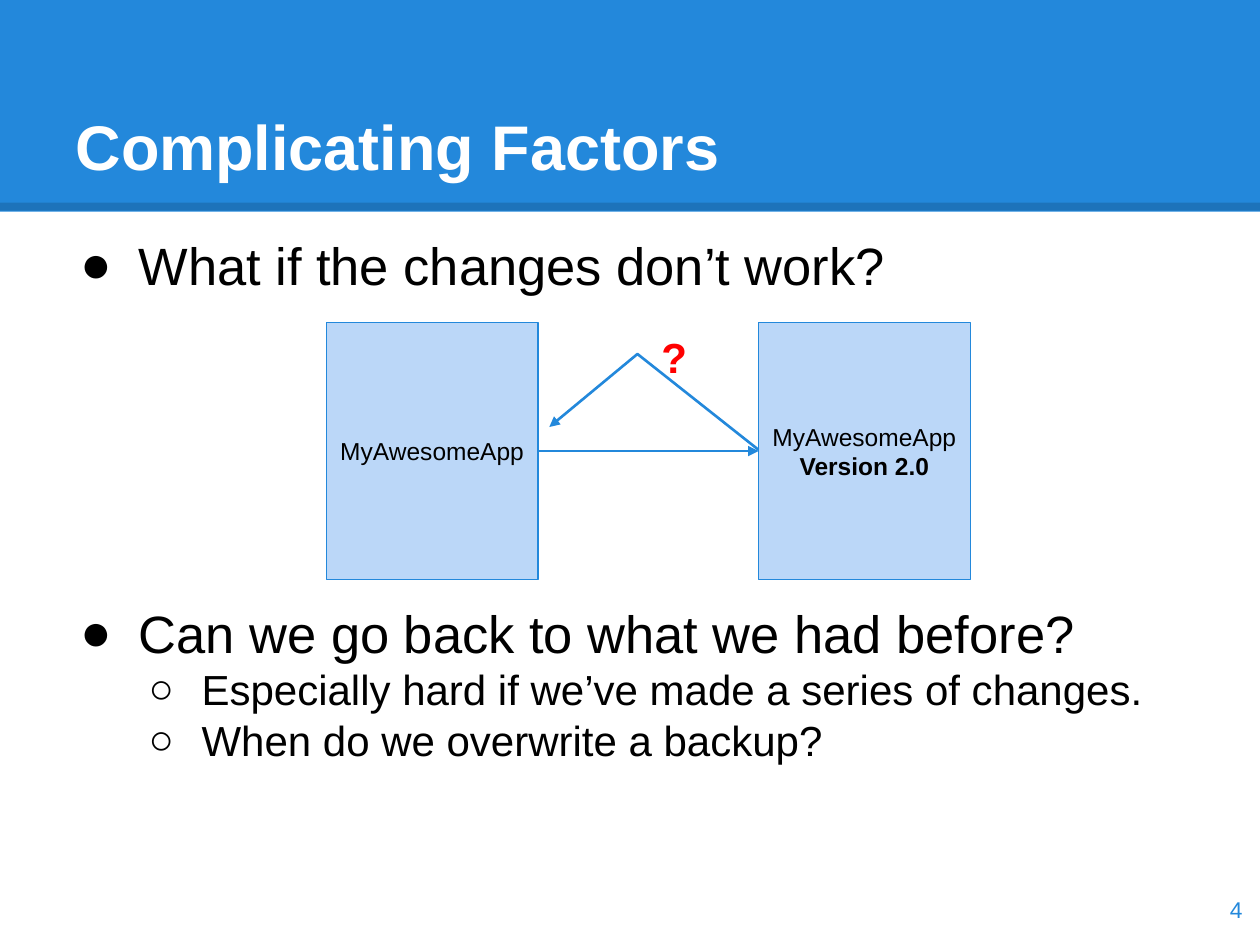
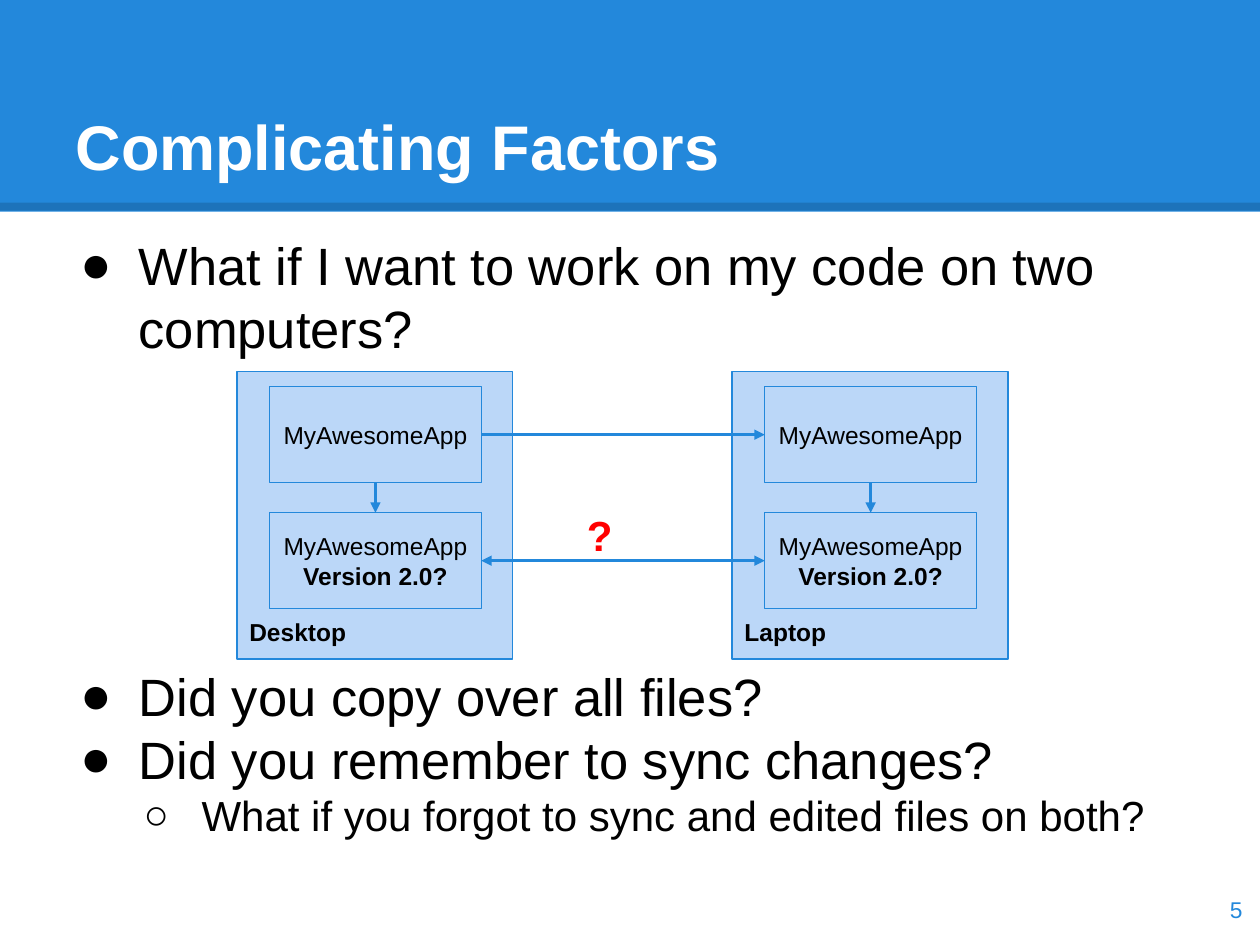
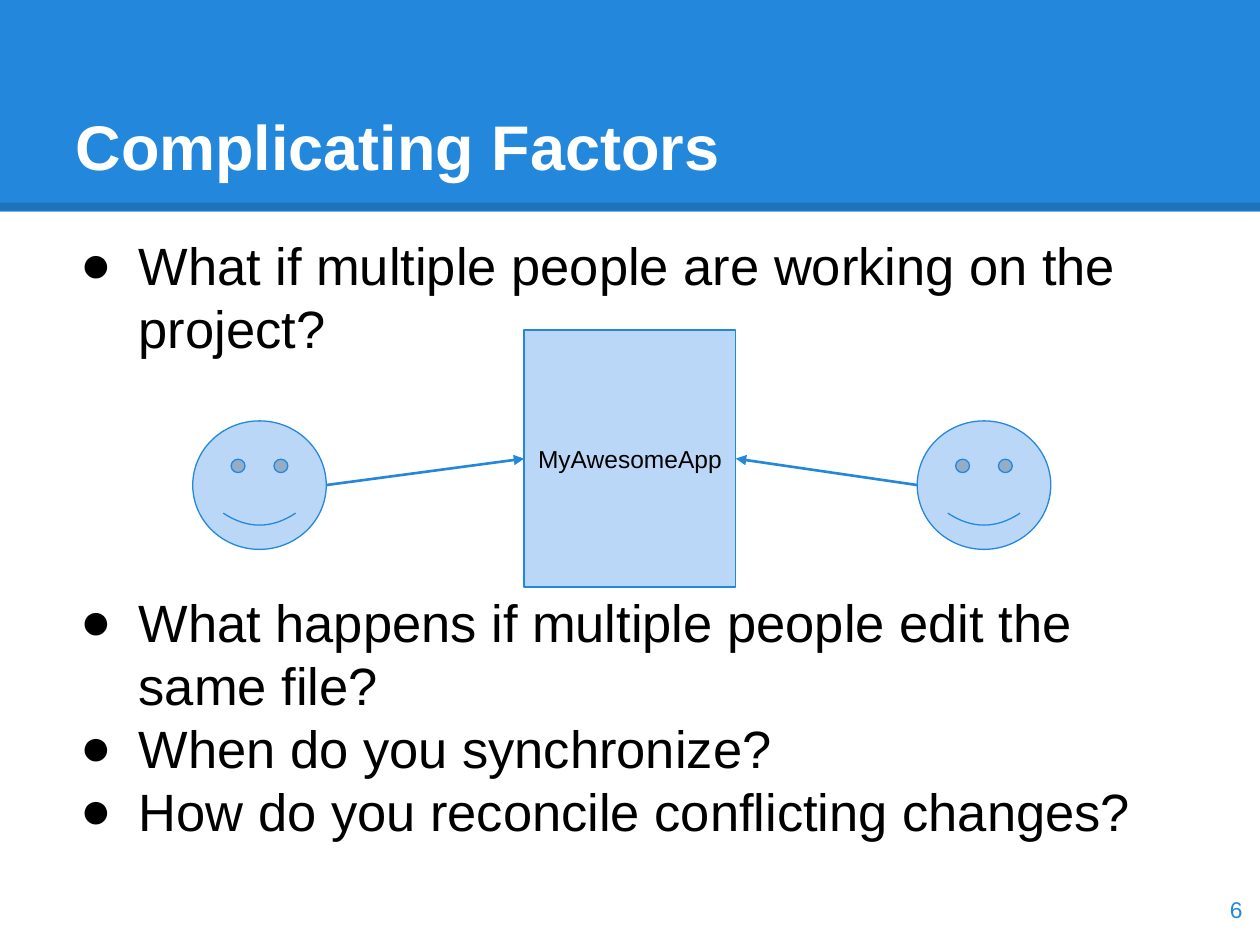
from lxml.etree import SubElement
from pptx import Presentation
from pptx.dml.color import RGBColor
from pptx.enum.shapes import MSO_CONNECTOR, MSO_SHAPE
from pptx.enum.text import MSO_ANCHOR, MSO_AUTO_SIZE, PP_ALIGN
from pptx.oxml.ns import qn
from pptx.util import Inches, Pt

FONT = "Arial"
BLUE = "2388DB"
PALE_BLUE = "BBD7F8"
BLACK = "000000"
WHITE = "FFFFFF"
RED = "FF0000"

TITLE = "Complicating Factors"
APP = "MyAwesomeApp"
APP_WIDTH, APP_HEIGHT = 1.68, 2.04
VERSION_HEIGHT = 0.76
BULLETS = [("●", 0.5, 30, 36), ("○", 1, 24, 29)]


def color(hex_string):
    """Turn a hex string into a colour."""
    return RGBColor.from_string(hex_string)


def write_text(paragraph, text, size=14, fill=BLACK, bold=False, align=PP_ALIGN.LEFT):
    """Write one formatted run into a paragraph."""
    paragraph.alignment = align
    run = paragraph.add_run()
    run.text = text
    run.font.name = FONT
    run.font.size = Pt(size)
    run.font.bold = bold
    run.font.color.rgb = color(fill)


def prepare_frame(shape, anchor=MSO_ANCHOR.TOP):
    """Set wrapping, insets and anchor, and return the text frame."""
    frame = shape.text_frame
    frame.word_wrap = True
    frame.auto_size = MSO_AUTO_SIZE.NONE
    frame.vertical_anchor = anchor
    frame.margin_left = frame.margin_right = Inches(0.1)
    frame.margin_top = frame.margin_bottom = Inches(0.1)
    return frame


def add_label(slide, text, left, top, width, height, anchor=MSO_ANCHOR.TOP, **text_format):
    """Add a one-line text box."""
    box = slide.shapes.add_textbox(Inches(left), Inches(top), Inches(width), Inches(height))
    write_text(prepare_frame(box, anchor).paragraphs[0], text, **text_format)


def add_panel(slide, left, top, width, height, kind=MSO_SHAPE.RECTANGLE):
    """Add a pale blue shape with a thin blue outline."""
    panel = slide.shapes.add_shape(
        kind, Inches(left), Inches(top), Inches(width), Inches(height))
    panel.shadow.inherit = False
    panel.fill.solid()
    panel.fill.fore_color.rgb = color(PALE_BLUE)
    panel.line.color.rgb = color(BLUE)
    panel.line.width = Pt(0.75)
    return panel


def add_app(slide, left, top, height=APP_HEIGHT, version=None):
    """Add an app box, with a bold version below the name if given."""
    panel = add_panel(slide, left, top, APP_WIDTH, height)
    frame = prepare_frame(panel, MSO_ANCHOR.MIDDLE)
    write_text(frame.paragraphs[0], APP, align=PP_ALIGN.CENTER)
    if version:
        write_text(frame.add_paragraph(), version, bold=True, align=PP_ALIGN.CENTER)


def style_arrow(shape, ends=("tailEnd",)):
    """Give a line its colour, width and arrowheads."""
    shape.line.color.rgb = color(BLUE)
    shape.line.width = Pt(1.5)
    outline = shape.line._get_or_add_ln()
    for end in ends:
        SubElement(outline, qn(f"a:{end}"), type="triangle")


def add_line(slide, start_x, start_y, end_x, end_y):
    """Add a straight connector without a shadow."""
    connector = slide.shapes.add_connector(
        MSO_CONNECTOR.STRAIGHT, Inches(start_x), Inches(start_y), Inches(end_x), Inches(end_y))
    SubElement(connector._element.spPr, qn("a:effectLst"))
    return connector


def add_arrow(slide, *points, ends=("tailEnd",)):
    """Add a straight arrow."""
    style_arrow(add_line(slide, *points), ends)


def add_return_arrow(slide, left, top):
    """Add the bent arrow that leads back to the first version."""
    points = [(Inches(left + x), Inches(top + y)) for x, y in [(1.66, 0.76), (0.7, 0), (0, 0.58)]]
    builder = slide.shapes.build_freeform(*points[0])
    builder.add_line_segments(points[1:], close=False)
    arrow = builder.convert_to_shape()
    arrow.shadow.inherit = False
    arrow.fill.background()
    style_arrow(arrow)


def add_question_mark(slide, left, top):
    """Add a red question mark."""
    add_label(slide, "?", left, top, 0.5, 0.33, size=24, fill=RED, bold=True)


def prepare_layout(layout, slide):
    """Place the layout's placeholders and move the title band behind them."""
    boxes = [(0.5, 0.3, 9, 1.25), (0.5, 1.75, 9, 5.43)]
    for placeholder, box in zip(layout.placeholders, boxes):
        placeholder.left, placeholder.top, placeholder.width, placeholder.height = map(Inches, box)

    band = slide.shapes.add_shape(MSO_SHAPE.RECTANGLE, 0, 0, Inches(10), Inches(1.68))
    band.shadow.inherit = False
    band.fill.solid()
    band.fill.fore_color.rgb = color(BLUE)
    band.line.fill.background()

    edge = add_line(slide, 0, 1.64, 10, 1.64)
    edge.line.color.rgb = color(BLACK)
    edge.line.width = Pt(4.5)
    edge_color = edge._element.spPr.find(".//" + qn("a:srgbClr"))
    SubElement(edge_color, qn("a:alpha"), val="15000")

    for position, shape in enumerate([band, edge], start=2):
        layout.shapes._spTree.insert(position, shape._element)


def add_bullet(paragraph, text, level, space_before, hanging):
    """Write one bulleted list entry."""
    mark, indent, size, line_height = BULLETS[level]
    paragraph.level = level
    paragraph.line_spacing = Pt(line_height)
    paragraph.space_before = Pt(space_before)
    properties = paragraph._p.get_or_add_pPr()
    properties.set("marL", str(Inches(indent)))
    properties.set("indent", str(-Inches(hanging)))
    bullet_color = SubElement(properties, qn("a:buClr"))
    SubElement(bullet_color, qn("a:srgbClr"), val=BLACK)
    SubElement(properties, qn("a:buFont"), typeface=FONT)
    SubElement(properties, qn("a:buChar"), char=mark)
    write_text(paragraph, text, size=size)


def fill_page(slide, number, entries, sub_hanging=0.42):
    """Fill in title, list and page number; entries are (text, level, space before)."""
    title_frame = prepare_frame(slide.shapes.title, MSO_ANCHOR.BOTTOM)
    write_text(title_frame.paragraphs[0], TITLE, size=36, fill=WHITE, bold=True)
    frame = prepare_frame(slide.placeholders[1])
    for index, (text, level, space_before) in enumerate(entries):
        paragraph = frame.add_paragraph() if index else frame.paragraphs[0]
        add_bullet(paragraph, text, level, space_before, sub_hanging if level else 0.46)
    add_label(slide, str(number), 9.36, 6.93, 0.6, 0.57, MSO_ANCHOR.MIDDLE,
              size=13, fill=BLUE, align=PP_ALIGN.RIGHT)


def add_rollback_diagram(slide, left, top):
    """Draw two versions with the way forward and the way back."""
    second = left + 3.43
    middle = top + APP_HEIGHT / 2
    add_app(slide, left, top)
    add_app(slide, second, top, version="Version 2.0")
    add_arrow(slide, left + APP_WIDTH, middle, second, middle)
    add_return_arrow(slide, left + 1.77, top + 0.25)
    add_question_mark(slide, left + 2.56, top - 0.03)


def add_computer(slide, name, left, top):
    """Draw a computer that holds two versions of the app."""
    computer = add_panel(slide, left, top, 2.19, 2.28)
    write_text(prepare_frame(computer, MSO_ANCHOR.BOTTOM).paragraphs[0], name, bold=True)
    app_left = left + 0.26
    center = app_left + APP_WIDTH / 2
    add_app(slide, app_left, top + 0.12, VERSION_HEIGHT)
    add_app(slide, app_left, top + 1.12, VERSION_HEIGHT, "Version 2.0?")
    add_arrow(slide, center, top + 0.12 + VERSION_HEIGHT, center, top + 1.12)


def add_sync_diagram(slide, left, top):
    """Draw two computers and the copies between them."""
    spacing = 3.93
    add_computer(slide, "Desktop", left, top)
    add_computer(slide, "Laptop", left + spacing, top)
    start, end = left + 0.26 + APP_WIDTH, left + 0.26 + spacing
    add_arrow(slide, start, top + 0.5, end, top + 0.5)
    add_arrow(slide, start, top + 1.5, end, top + 1.5, ends=("headEnd", "tailEnd"))
    add_question_mark(slide, left + 2.68, top + 0.99)


def add_team_diagram(slide, left, top):
    """Draw two people who work on one app."""
    face_width, face_height = 1.06, 1.02
    app_left, second = left + 2.63, left + 5.75
    face_top = top + 0.72
    add_app(slide, app_left, top)
    for face_left, start, end in [(left, left + face_width, app_left),
                                  (second, second, app_left + APP_WIDTH)]:
        add_panel(slide, face_left, face_top, face_width, face_height, MSO_SHAPE.SMILEY_FACE)
        add_arrow(slide, start, face_top + face_height / 2, end, top + APP_HEIGHT / 2)


def main():
    """Build the three slides and save them."""
    presentation = Presentation()
    presentation.slide_width, presentation.slide_height = Inches(10), Inches(7.5)
    layout = presentation.slide_layouts[1]
    rollback, sync, team = [presentation.slides.add_slide(layout) for _ in range(3)]
    prepare_layout(layout, rollback)

    fill_page(rollback, 4, [
        ("What if the changes don’t work?", 0, 0),
        ("Can we go back to what we had before?", 0, 174),
        ("Especially hard if we’ve made a series of changes.", 1, 0),
        ("When do we overwrite a backup?", 1, 0),
    ])
    add_rollback_diagram(rollback, 2.59, 2.56)

    fill_page(sync, 5, [
        ("What if I want to work on my code on two computers?", 0, 0),
        ("Did you copy over all files?", 0, 174),
        ("Did you remember to sync changes?", 0, 0),
        ("What if you forgot to sync and edited files on both?", 1, 0),
    ], sub_hanging=0.46)
    add_sync_diagram(sync, 1.88, 2.95)

    fill_page(team, 6, [
        ("What if multiple people are working on the project?", 0, 0),
        ("What happens if multiple people edit the same file?", 0, 132),
        ("When do you synchronize?", 0, 0),
        ("How do you reconcile conflicting changes?", 0, 0),
    ])
    add_team_diagram(team, 1.53, 2.62)

    presentation.save("out.pptx")


if __name__ == "__main__":
    main()
